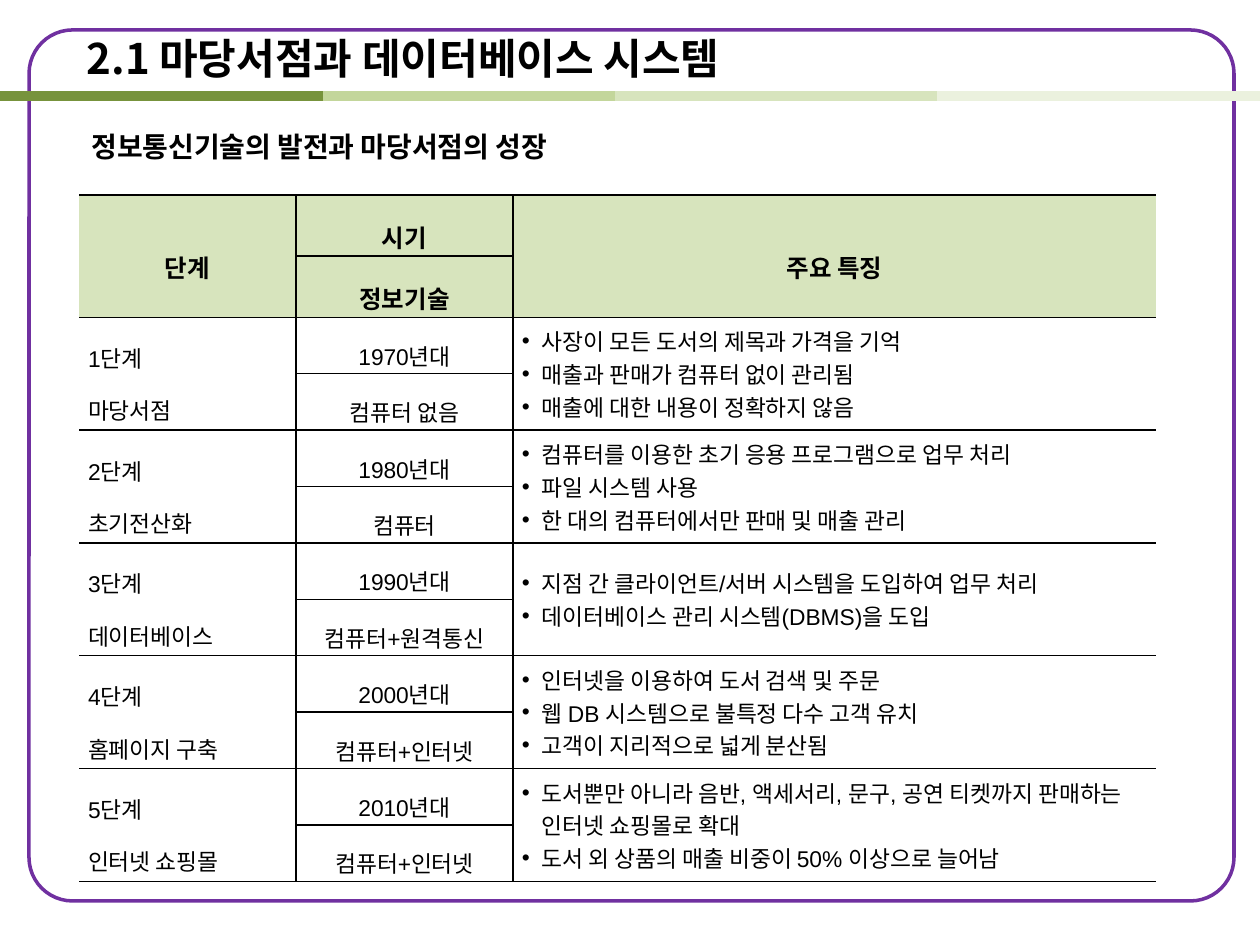
from dataclasses import dataclass

from lxml import etree
from pptx import Presentation
from pptx.dml.color import RGBColor as RGB
from pptx.enum.shapes import MSO_CONNECTOR as Link, MSO_SHAPE as Shape
from pptx.enum.text import MSO_ANCHOR as Anchor, MSO_AUTO_SIZE as Fit, PP_ALIGN as Align
from pptx.oxml.ns import qn
from pptx.util import Emu, Pt


@dataclass(frozen=True)
class Theme:
    ink: str = "000000"
    paper: str = "FFFFFF"
    frame: str = "7030A0"
    head: str = "D7E4BD"
    sans: str = "Arial"
    hangul: str = "Noto Sans CJK KR"
    title: int = 24
    sub: int = 16
    label: int = 14
    body: int = 13


@dataclass(frozen=True)
class Bar:
    left: int
    right: int
    color: str


@dataclass(frozen=True)
class Stage:
    name: str
    era: str
    tech: str
    notes: str


THEME = Theme()
SCALE = 914400 / 126

BARS = [
    Bar(292, 615, "C3D69B"),
    Bar(615, 937, "D7E4BD"),
    Bar(937, 1260, "EBF1DE"),
    Bar(0, 323, "77933C"),
]

HEAD = Stage("단계", "시기", "정보기술", "주요 특징")
STAGES = [
    Stage("1단계\n마당서점", "1970년대", "컴퓨터 없음",
          "사장이 모든 도서의 제목과 가격을 기억\n"
          "매출과 판매가 컴퓨터 없이 관리됨\n"
          "매출에 대한 내용이 정확하지 않음"),
    Stage("2단계\n초기전산화", "1980년대", "컴퓨터",
          "컴퓨터를 이용한 초기 응용 프로그램으로 업무 처리\n"
          "파일 시스템 사용\n"
          "한 대의 컴퓨터에서만 판매 및 매출 관리"),
    Stage("3단계\n데이터베이스", "1990년대", "컴퓨터+원격통신",
          "지점 간 클라이언트/서버 시스템을 도입하여 업무 처리\n"
          "데이터베이스 관리 시스템(DBMS)을 도입"),
    Stage("4단계\n홈페이지 구축", "2000년대", "컴퓨터+인터넷",
          "인터넷을 이용하여 도서 검색 및 주문\n"
          "웹 DB 시스템으로 불특정 다수 고객 유치\n"
          "고객이 지리적으로 넓게 분산됨"),
    Stage("5단계\n인터넷 쇼핑몰", "2010년대", "컴퓨터+인터넷",
          "도서뿐만 아니라 음반, 액세서리, 문구, 공연 티켓까지 판매하는 인터넷 쇼핑몰로 확대\n"
          "도서 외 상품의 매출 비중이 50% 이상으로 늘어남"),
]


def px(n: int) -> Emu:
    return Emu(round(n * SCALE))


def style(frame, size: int, face: str, bold: bool) -> None:
    for para in frame.paragraphs:
        for run in para.runs:
            font = run.font
            font.size, font.name, font.bold = Pt(size), face, bold
            font.color.rgb = RGB.from_string(THEME.ink)
            east = etree.Element(qn("a:ea"), typeface=THEME.hangul)
            run.font._element.find(qn("a:latin")).addnext(east)


def add_frame(slide) -> None:
    box = slide.shapes.add_shape(Shape.ROUNDED_RECTANGLE, px(29), px(30), px(1205), px(871))
    box.adjustments[0] = 0.05
    box.shadow.inherit = False
    box.fill.solid()
    box.fill.fore_color.rgb = RGB.from_string(THEME.paper)
    box.line.color.rgb = RGB.from_string(THEME.frame)
    box.line.width = Pt(2)


def add_bar(slide, bar: Bar) -> None:
    line = slide.shapes.add_connector(Link.STRAIGHT, px(bar.left), px(96), px(bar.right), px(96))
    line.line.color.rgb = RGB.from_string(bar.color)
    line.line.width = Pt(6)
    etree.SubElement(line.element.spPr, qn("a:effectLst"))


def set_text(shape, text: str, size: int) -> None:
    frame = shape.text_frame
    frame.text = text
    frame.word_wrap = True
    frame.auto_size = Fit.NONE
    frame.vertical_anchor = Anchor.MIDDLE
    frame.paragraphs[0].alignment = Align.LEFT
    style(frame, size, THEME.hangul, True)


def set_edges(cell, shown: str) -> None:
    props = cell._tc.get_or_add_tcPr()
    for side in "LRTB":
        line = etree.SubElement(props, qn(f"a:ln{side}"), w=str(Pt(1)))
        if side in shown:
            fill = etree.SubElement(line, qn("a:solidFill"))
            etree.SubElement(fill, qn("a:srgbClr"), val=THEME.ink)
        else:
            etree.SubElement(line, qn("a:noFill"))


def add_bullet(para) -> None:
    props = para._p.get_or_add_pPr()
    props.set("marL", str(px(20)))
    props.set("indent", str(-px(20)))
    etree.SubElement(props, qn("a:buFont"), typeface=THEME.sans)
    etree.SubElement(props, qn("a:buChar"), char="•")


def fill_cell(cell, text: str, head: bool, col: int) -> None:
    cell.margin_left = cell.margin_right = px(9)
    cell.margin_top = cell.margin_bottom = px(2)
    cell.vertical_anchor = Anchor.MIDDLE
    frame = cell.text_frame
    frame.text = text
    notes = col == 2 and not head
    for para in frame.paragraphs:
        para.alignment = Align.CENTER if head or col == 1 else Align.LEFT
        if notes:
            add_bullet(para)
        else:
            para.line_spacing = 1.6
    if head:
        style(frame, THEME.label, THEME.hangul, True)
    else:
        style(frame, THEME.body, THEME.sans, False)


def add_grid(slide) -> None:
    groups = [HEAD, *STAGES]
    rows = 2 * len(groups)
    grid = slide.shapes.add_table(rows, 3, px(79), px(195), px(1077), px(54 * rows)).table
    grid.first_row = grid.horz_banding = False
    for col, width in zip(grid.columns, (217, 217, 643)):
        col.width = px(width)
    for row in grid.rows:
        row.height = px(54)

    # Borders come before fills, as the cell schema asks
    for r in range(rows):
        for c, sides in enumerate(("R", "LR", "L")):
            cell = grid.cell(r, c)
            inner = c != 1 and r % 2
            set_edges(cell, sides + ("B" if inner else "TB"))
            if r < 2:
                cell.fill.solid()
                cell.fill.fore_color.rgb = RGB.from_string(THEME.head)
            else:
                cell.fill.background()

    # Each stage takes two rows, split only in the middle column
    for i, stage in enumerate(groups):
        top, head = 2 * i, i == 0
        for c in (0, 2):
            grid.cell(top, c).merge(grid.cell(top + 1, c))
        fill_cell(grid.cell(top, 0), stage.name, head, 0)
        fill_cell(grid.cell(top, 1), stage.era, head, 1)
        fill_cell(grid.cell(top + 1, 1), stage.tech, head, 1)
        fill_cell(grid.cell(top, 2), stage.notes, head, 2)


def main() -> None:
    deck = Presentation()
    deck.slide_width, deck.slide_height = px(1260), px(945)
    slide = deck.slides.add_slide(deck.slide_layouts[5])

    # Frame and colour band
    add_frame(slide)
    for bar in BARS:
        add_bar(slide, bar)

    # Title, raised above the frame, and subtitle
    title = slide.shapes.title
    title.element.getparent().append(title.element)
    title.left, title.top, title.width, title.height = px(74), px(20), px(1042), px(76)
    set_text(title, "2.1 마당서점과 데이터베이스 시스템", THEME.title)
    sub = slide.shapes.add_textbox(px(79), px(127), px(650), px(39))
    set_text(sub, "정보통신기술의 발전과 마당서점의 성장", THEME.sub)

    # Stage table
    add_grid(slide)
    deck.save("out.pptx")


if __name__ == "__main__":
    main()
